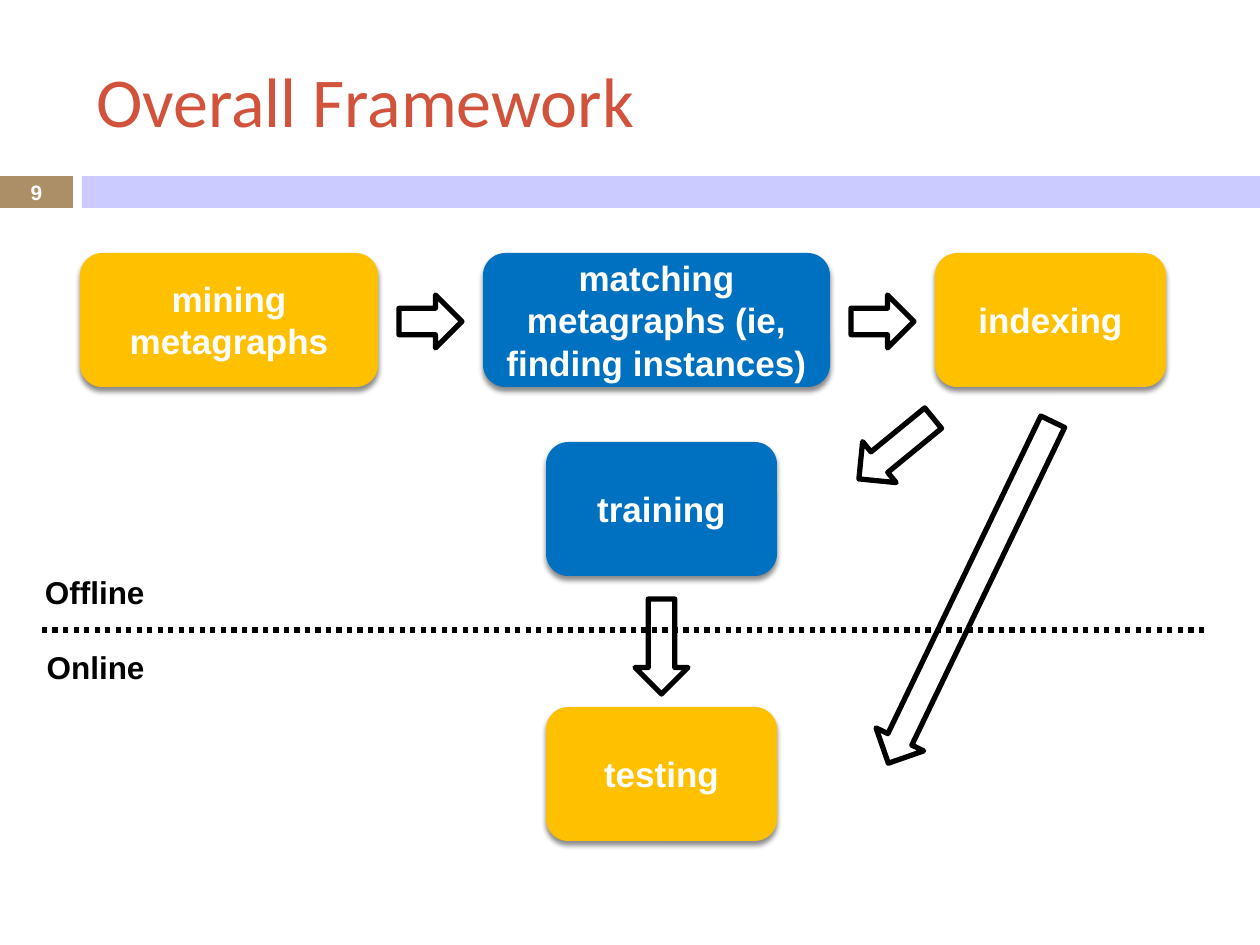
from dataclasses import dataclass

from pptx import Presentation
from pptx.dml.color import RGBColor
from pptx.enum.dml import MSO_LINE
from pptx.enum.shapes import MSO_CONNECTOR, MSO_SHAPE
from pptx.enum.text import MSO_ANCHOR, PP_ALIGN
from pptx.oxml import parse_xml
from pptx.oxml.ns import nsdecls
from pptx.util import Pt

PX_PER_INCH = 126


@dataclass(frozen=True)
class Theme:
    """Colours, fonts and type sizes of the slide."""
    title: str = "D2533C"
    number_band: str = "AD8F67"
    title_band: str = "CBCBFF"
    yellow: str = "FFC000"
    blue: str = "0070C0"
    white: str = "FFFFFF"
    black: str = "000000"
    title_font: str = "Calibri"
    body_font: str = "Arial"
    title_size: float = 40
    step_size: float = 20
    phase_size: float = 18
    number_size: float = 11.9
    stroke: float = 3


THEME = Theme()


def px(*lengths):
    """Turn lengths in px into EMU."""
    return [round(length * 914400 / PX_PER_INCH) for length in lengths]


def write(frame, *lines, size, color, font=THEME.body_font, bold=True,
          align=PP_ALIGN.CENTER, anchor=MSO_ANCHOR.MIDDLE, gap=0):
    """Write lines into a text frame, one paragraph each."""
    frame.word_wrap = True
    frame.vertical_anchor = anchor
    for index, line in enumerate(lines):
        paragraph = frame.add_paragraph() if index else frame.paragraphs[0]
        paragraph.alignment = align
        paragraph.space_before = Pt(gap if index else 0)
        run = paragraph.add_run()
        run.text = line
        run.font.size = Pt(size)
        run.font.name = font
        run.font.bold = bold
        run.font.color.rgb = RGBColor.from_string(color)


def add_label(slide, bounds, *lines, **style):
    """Add free-standing text."""
    write(slide.shapes.add_textbox(*px(*bounds)).text_frame, *lines, **style)


def add_block(slide, kind, bounds, fill):
    """Add a filled shape without outline or shadow."""
    block = slide.shapes.add_shape(kind, *px(*bounds))
    block.shadow.inherit = False
    block.fill.solid()
    block.fill.fore_color.rgb = RGBColor.from_string(fill)
    block.line.fill.background()
    return block


def add_step(slide, left, top, width, text, fill):
    """Add a rounded process step with a soft shadow below it."""
    step = add_block(slide, MSO_SHAPE.ROUNDED_RECTANGLE, (left, top, width, 134), fill)
    effects = step.element.spPr.find(
        "{http://schemas.openxmlformats.org/drawingml/2006/main}effectLst")
    effects.append(parse_xml(
        f'<a:outerShdw {nsdecls("a")} blurRad="{Pt(3)}" dist="{Pt(2.4)}" dir="5400000" '
        f'algn="ctr" rotWithShape="0"><a:srgbClr val="{THEME.black}">'
        '<a:alpha val="45000"/></a:srgbClr></a:outerShdw>'))
    write(step.text_frame, text, size=THEME.step_size, color=THEME.white)


def add_flow_arrow(slide, left, top, length, rotation=0):
    """Add an outlined block arrow."""
    arrow = slide.shapes.add_shape(MSO_SHAPE.RIGHT_ARROW, *px(left, top, length, 53))
    arrow.shadow.inherit = False
    arrow.fill.background()
    arrow.line.color.rgb = RGBColor.from_string(THEME.black)
    arrow.line.width = Pt(THEME.stroke)
    arrow.rotation = rotation


def add_divider(slide, left, right, y):
    """Add the dotted line between the two phases."""
    divider = slide.shapes.add_connector(MSO_CONNECTOR.STRAIGHT, *px(left, y, right, y))
    divider.line.color.rgb = RGBColor.from_string(THEME.black)
    divider.line.width = Pt(THEME.stroke)
    divider.line.dash_style = MSO_LINE.ROUND_DOT
    divider.element.spPr.append(parse_xml(f'<a:effectLst {nsdecls("a")}/>'))


def add_header(slide):
    """Add the title, the bands and the slide number."""
    add_block(slide, MSO_SHAPE.RECTANGLE, (0, 176, 73, 32), THEME.number_band)
    add_block(slide, MSO_SHAPE.RECTANGLE, (82, 176, 1178, 32), THEME.title_band)
    add_label(slide, (84, 32, 1124, 136), "Overall Framework", size=THEME.title_size,
              color=THEME.title, font=THEME.title_font, bold=False, align=PP_ALIGN.LEFT)
    add_label(slide, (0, 175, 73, 34), "9", size=THEME.number_size, color=THEME.white)


def add_preparation_row(slide):
    """Add the top row of steps, with an arrow in each gap."""
    left, top, gap, arrow_length = 80, 253, 21, 63
    steps = [("mining metagraphs", 298, THEME.yellow),
             ("matching metagraphs (ie, finding instances)", 347, THEME.blue),
             ("indexing", 231, THEME.yellow)]
    for index, (text, width, fill) in enumerate(steps):
        if index:
            add_flow_arrow(slide, left + gap, top + 42, arrow_length)
            left += arrow_length + 2 * gap
        add_step(slide, left, top, width, text, fill)
        left += width


def main():
    """Build the slide and save it."""
    deck = Presentation()
    deck.slide_width, deck.slide_height = px(1260, 945)
    slide = deck.slides.add_slide(deck.slide_layouts[6])
    add_header(slide)
    add_divider(slide, 42, 1208, 630)
    add_label(slide, (0, 567, 157, 127), "Offline", "Online", size=THEME.phase_size,
              color=THEME.black, align=PP_ALIGN.RIGHT, anchor=MSO_ANCHOR.TOP, gap=21)
    add_preparation_row(slide)
    add_flow_arrow(slide, 848, 422, 96, rotation=140.7)
    add_step(slide, 546, 442, 231, "training", THEME.blue)
    add_flow_arrow(slide, 781, 566, 379, rotation=115.7)
    add_flow_arrow(slide, 614, 620, 95, rotation=90)
    add_step(slide, 546, 707, 231, "testing", THEME.yellow)
    deck.save("out.pptx")


if __name__ == "__main__":
    main()
